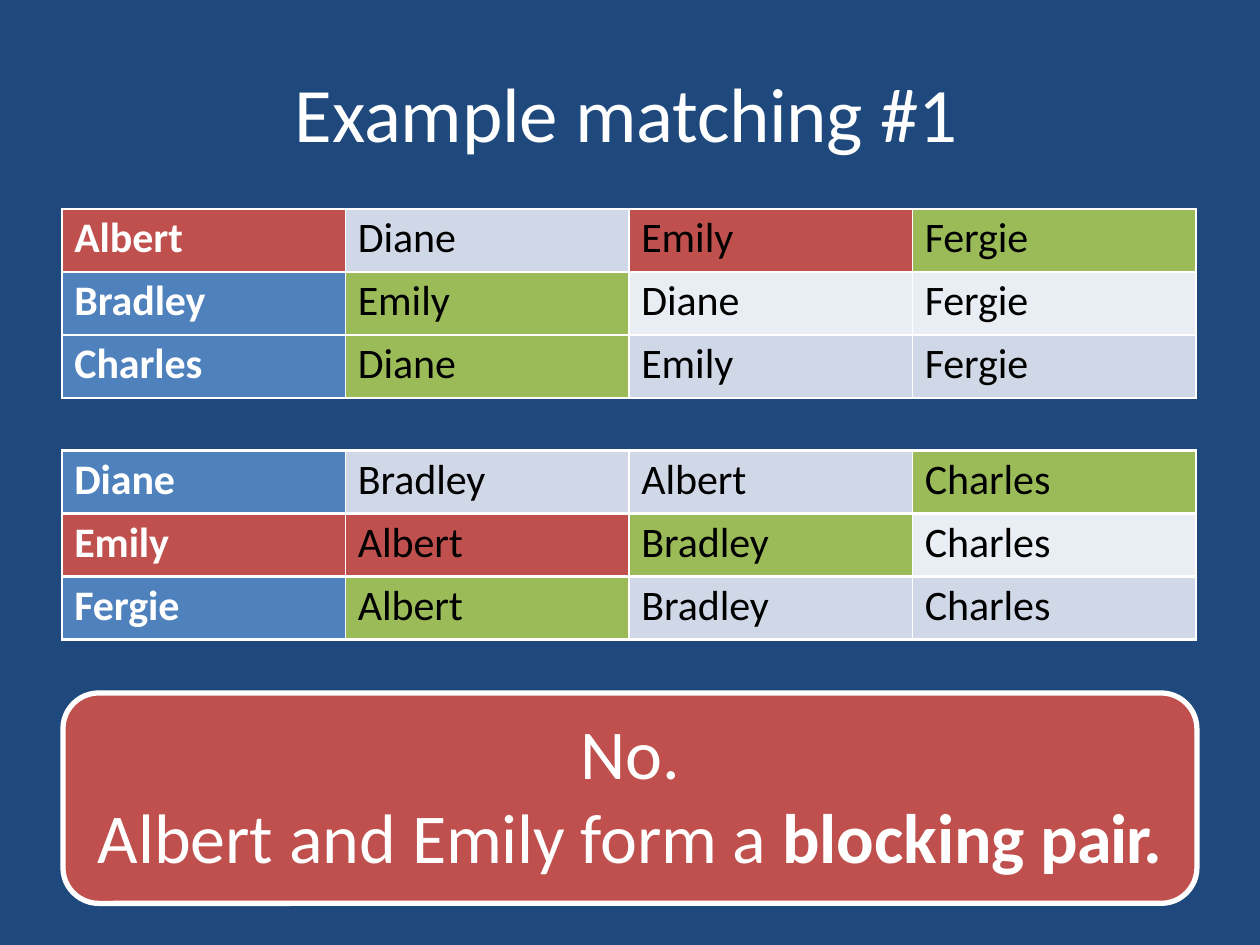
import pptx
import pptx.util
import pptx.dml.color
import pptx.enum.shapes
import pptx.enum.text
import pptx.oxml.ns
import lxml.etree

COLORS = {
    "navy": "1F497D", "white": "FFFFFF", "black": "000000",
    "red": "C0504D", "green": "9BBB59", "blue": "4F81BD",
    "band_dark": "D0D8E8", "band_light": "E9EDF4",
}
FONT = "Calibri"
COLS, ROWS = 20, 15
SHAPE = pptx.enum.shapes.MSO_SHAPE
ALIGN = pptx.enum.text.PP_ALIGN


def rgb(name):
    """Return the named colour."""
    return pptx.dml.color.RGBColor.from_string(COLORS[name])


class Deck:
    """Style and current slide; lengths are grid columns and rows."""

    def __init__(self):
        """Start a 4:3 presentation with one blank slide."""
        self.prs = pptx.Presentation()
        self.prs.slide_width = pptx.util.Inches(10)
        self.prs.slide_height = pptx.util.Inches(7.5)
        self.s = self.prs.slides.add_slide(self.prs.slide_layouts[6])

    def place(self, x, y, w, h):
        """Turn a grid rectangle into slide lengths."""
        dx, dy = self.prs.slide_width / COLS, self.prs.slide_height / ROWS
        return [round(v) for v in (x * dx, y * dy, w * dx, h * dy)]

    def run(self, p, text, size, color="white", bold=False, spacing=0):
        """Add one styled run; spacing is in points."""
        r = p.add_run()
        r.text = text
        r.font.name = FONT
        r.font.size = pptx.util.Pt(size)
        r.font.bold = bold
        r.font.color.rgb = rgb(color)
        if spacing:
            r.font._element.set("spc", str(round(spacing * 100)))

    def text(self, box, paragraphs, size, before, align):
        """Add paragraphs of (text, bold, spacing) runs."""
        tf = self.s.shapes.add_textbox(*self.place(*box)).text_frame
        tf.word_wrap = True
        tf.margin_left = tf.margin_right = tf.margin_bottom = 0
        tf.margin_top = pptx.util.Inches(0.01)
        for i, runs in enumerate(paragraphs):
            p = tf.add_paragraph() if i else tf.paragraphs[0]
            p.alignment = align
            p.space_before = pptx.util.Pt(0 if i else before)
            for text, bold, spacing in runs:
                self.run(p, text, size, bold=bold, spacing=spacing)

    def borders(self, cell):
        """Draw white rules round a cell, thinner at the sides."""
        tcPr = cell._tc.get_or_add_tcPr()
        for side, width in zip("LRTB", (1, 1, 1.5, 1.5)):
            ln = lxml.etree.SubElement(
                tcPr, pptx.oxml.ns.qn("a:ln" + side),
                w=str(pptx.util.Pt(width)))
            fill = lxml.etree.SubElement(ln, pptx.oxml.ns.qn("a:solidFill"))
            lxml.etree.SubElement(
                fill, pptx.oxml.ns.qn("a:srgbClr"), val=COLORS["white"])

    def preferences(self, x, y, w, rows, marked):
        """Add a preference table; marked maps (row, column) to a fill."""
        n = len(rows[0])
        table = self.s.shapes.add_table(
            len(rows), n, *self.place(x, y, w, len(rows))).table
        table.first_row = table.horz_banding = False
        table.first_col = True
        for i, names in enumerate(rows):
            for j, name in enumerate(names):
                cell = table.cell(i, j)
                self.borders(cell)
                band = "band_light" if i % 2 else "band_dark"
                cell.fill.solid()
                cell.fill.fore_color.rgb = rgb(
                    marked.get((i, j), band if j else "blue"))
                cell.margin_left = pptx.util.Inches(0.1)
                cell.margin_right = cell.margin_bottom = 0
                cell.margin_top = pptx.util.Inches(0.03)
                p = cell.text_frame.paragraphs[0]
                p.space_before = pptx.util.Pt(2)
                self.run(p, name, 24, "black" if j else "white",
                         bold=j == 0, spacing=-0.05)

    def panel(self, box, kind, color, outline=0):
        """Add a filled shape, with a white outline if a width is given."""
        sp = self.s.shapes.add_shape(kind, *self.place(*box))
        sp.shadow.inherit = False
        sp.fill.solid()
        sp.fill.fore_color.rgb = rgb(color)
        if outline:
            sp.line.color.rgb = rgb("white")
            sp.line.width = pptx.util.Pt(outline)
        else:
            sp.line.fill.background()
        return sp


def main():
    """Build and save the slide."""
    deck = Deck()
    deck.panel((0, 0, COLS, ROWS), SHAPE.RECTANGLE, "navy")
    deck.text((4.68, 1.02, 10.64, 1.52), [[
        ("Example ", False, -0.1), ("matching ", False, -0.2),
        ("#1", False, -0.1)]], 44, 0.9, ALIGN.LEFT)
    deck.preferences(0.98, 3.32, 18, [
        ("Albert", "Diane", "Emily", "Fergie"),
        ("Bradley", "Emily", "Diane", "Fergie"),
        ("Charles", "Diane", "Emily", "Fergie"),
    ], {(0, 0): "red", (0, 2): "red",
        (0, 3): "green", (1, 1): "green", (2, 1): "green"})
    deck.preferences(0.98, 7.15, 18, [
        ("Diane", "Bradley", "Albert", "Charles"),
        ("Emily", "Albert", "Bradley", "Charles"),
        ("Fergie", "Albert", "Bradley", "Charles"),
    ], {(1, 0): "red", (1, 1): "red",
        (0, 3): "green", (1, 2): "green", (2, 1): "green"})
    answer = deck.panel((1, 11, 18, 3.34), SHAPE.ROUNDED_RECTANGLE, "red", 3)
    answer.adjustments[0] = 0.17
    deck.text((1.46, 11.24, 17.08, 2.72), [
        [("No.", False, 0)],
        [("Albert and ", False, 0), ("Emily", False, -0.05),
         (" form ", False, -0.15), ("a ", False, 0),
         ("blocking ", True, 0), ("pair.", True, -0.75)],
    ], 40, 1, ALIGN.CENTER)
    deck.prs.save("out.pptx")


main()
